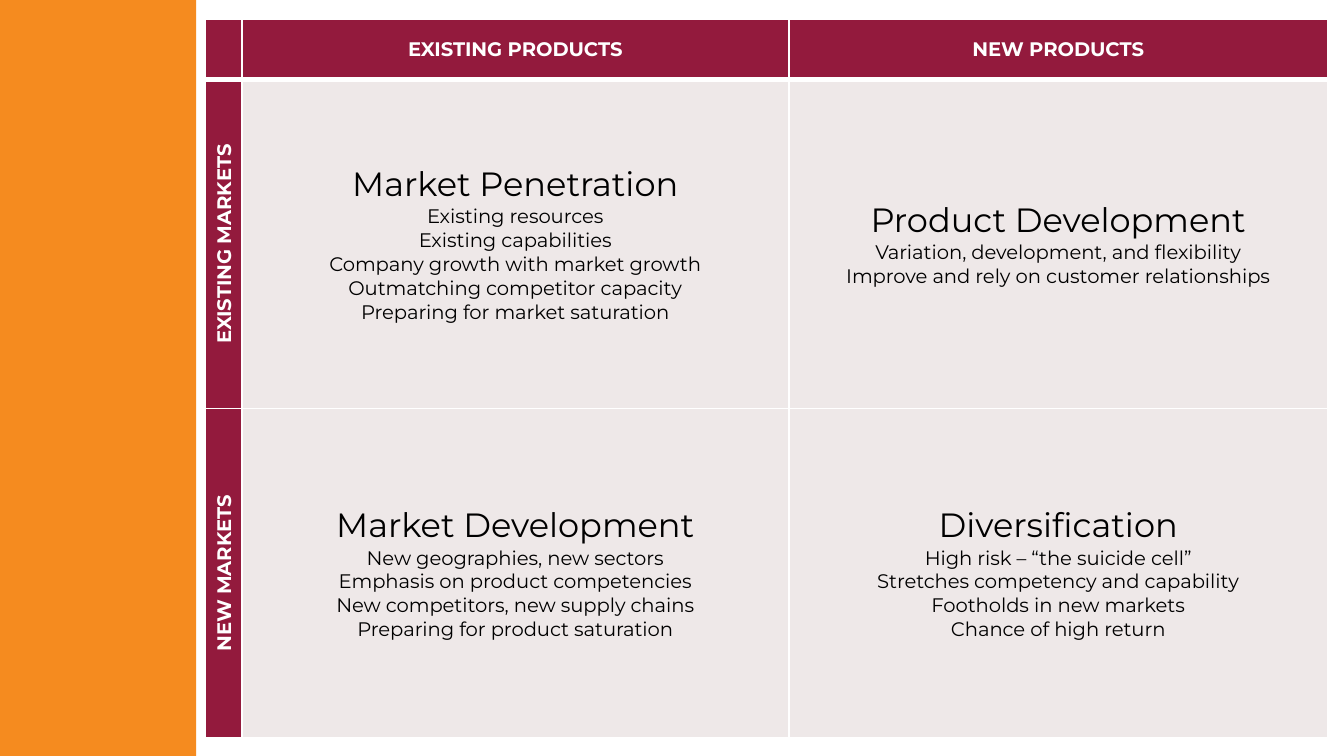
from lxml import etree
from pptx import Presentation
from pptx.dml.color import RGBColor
from pptx.enum.shapes import MSO_SHAPE
from pptx.enum.text import MSO_ANCHOR, PP_ALIGN
from pptx.oxml.ns import qn
from pptx.util import Inches, Pt

RECT = MSO_SHAPE.RECTANGLE
MID = MSO_ANCHOR.MIDDLE
CENTER = PP_ALIGN.CENTER

WIDE = 10
HIGH = WIDE * 9 / 16
COLS = (0.27, 4.07, 4.01)
ROWS = (0.45, 2.45, 2.45)
FONT = "Montserrat"
HEAD, BODY = 18, 10.5
COLOR = {"band": "F58B1F", "head": "931A3D", "cell": "EEE8E8",
         "line": "FFFFFF", "light": "FFFFFF", "dark": "000000"}

# Matrix text: each cell is a list of lines
GRID = [
    [[], ["EXISTING PRODUCTS"], ["NEW PRODUCTS"]],
    [
        ["EXISTING MARKETS"],
        ["Market Penetration", "Existing resources", "Existing capabilities",
         "Company growth with market growth",
         "Outmatching competitor capacity",
         "Preparing for market saturation"],
        ["Product Development", "Variation, development, and flexibility",
         "Improve and rely on customer relationships"],
    ],
    [
        ["NEW MARKETS"],
        ["Market Development", "New geographies, new sectors",
         "Emphasis on product competencies",
         "New competitors, new supply chains",
         "Preparing for product saturation"],
        ["Diversification", "High risk – “the suicide cell”",
         "Stretches competency and capability", "Footholds in new markets",
         "Chance of high return"],
    ],
]


def rgb(name):
    return RGBColor.from_string(COLOR[name])


def add_band(slide, box):
    band = slide.shapes.add_shape(RECT, *map(Inches, box))
    band.shadow.inherit = False
    band.fill.solid()
    band.fill.fore_color.rgb = rgb("band")
    band.line.fill.background()


def set_lines(cell, widths):
    """Draw the borders; widths are points for left, right, top, bottom."""
    props = cell._tc.get_or_add_tcPr()
    for spot, (side, width) in enumerate(zip("LRTB", widths)):
        line = etree.Element(qn(f"a:ln{side}"), w=str(Pt(width)))
        fill = etree.SubElement(line, qn("a:solidFill"))
        etree.SubElement(fill, qn("a:srgbClr"), val=COLOR["line"])
        props.insert(spot, line)


def fill_cell(cell, lines, row, col):
    label = row == 0 or col == 0
    cell.fill.solid()
    cell.fill.fore_color.rgb = rgb("head" if label else "cell")
    cell.vertical_anchor = MID
    cell.margin_left = cell.margin_right = Inches(0.04)
    cell.margin_top = cell.margin_bottom = Inches(0.05)

    # The rule under the top row is heavier
    set_lines(cell, (1, 1, 3 if row == 1 else 1, 3 if row == 0 else 1))
    if row and col == 0:
        cell._tc.get_or_add_tcPr().set("vert", "vert270")

    cell.text = "\n".join(lines)
    for spot, para in enumerate(cell.text_frame.paragraphs):
        para.alignment = CENTER
        para.font.name = FONT
        para.font.size = Pt(BODY if label or spot else HEAD)
        para.font.bold = label
        para.font.color.rgb = rgb("light" if label else "dark")


def add_matrix(slide, box):
    width, height = box[2:]
    frame = slide.shapes.add_table(len(ROWS), len(COLS), *map(Inches, box))
    table = frame.table
    for col, share in zip(table.columns, COLS):
        col.width = Inches(width * share / sum(COLS))
    for row, share in zip(table.rows, ROWS):
        row.height = Inches(height * share / sum(ROWS))
    for r, line in enumerate(GRID):
        for c, text in enumerate(line):
            fill_cell(table.cell(r, c), text, r, c)


def main():
    deck = Presentation()
    deck.slide_width, deck.slide_height = Inches(WIDE), Inches(HIGH)
    slide = deck.slides.add_slide(deck.slide_layouts[6])

    # Side band, then the product and market matrix
    add_band(slide, (0, 0, WIDE * 0.146, HIGH))
    add_matrix(slide, (WIDE * 0.153, HIGH * 0.025, sum(COLS), sum(ROWS)))
    deck.save("out.pptx")


if __name__ == "__main__":
    main()
